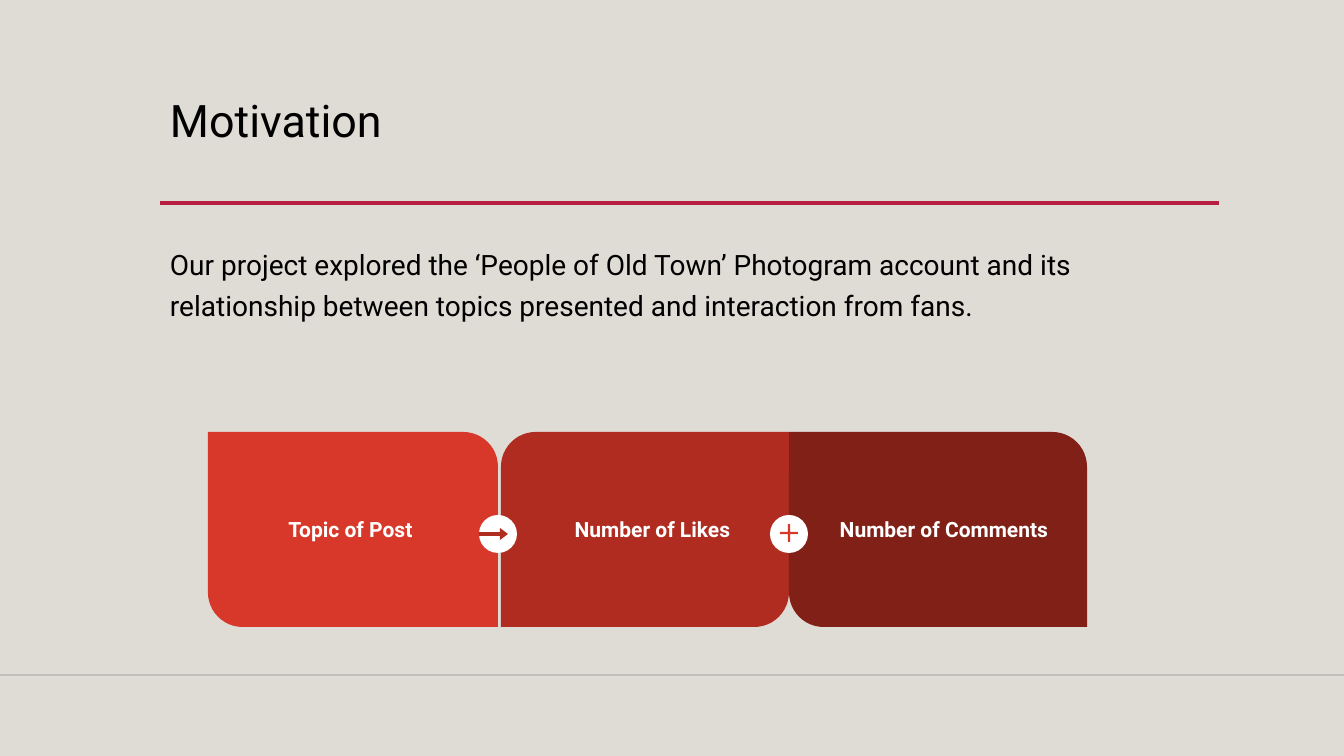
from lxml.etree import SubElement
from pptx import Presentation
from pptx.dml.color import RGBColor
from pptx.enum.shapes import MSO_CONNECTOR, MSO_SHAPE
from pptx.enum.text import MSO_ANCHOR, PP_ALIGN
from pptx.oxml.ns import qn
from pptx.util import Emu, Pt

SCALE = 914400 / 100.8
FONT = "Roboto"
COLORS = {
    "paper": "DFDBD5",
    "rule": "B71E42",
    "ink": "000000",
    "base": "000001",
    "white": "FFFFFF",
    "topic": "D83829",
    "likes": "B02C20",
    "fans": "802017",
}


def px(count):
    return Emu(round(count * SCALE))


def color(name):
    return RGBColor.from_string(COLORS[name])


def write(frame, text, size=15, tint="ink", bold=False, align=PP_ALIGN.LEFT, lead=1.0):
    para = frame.paragraphs[0]
    para.alignment = align
    para.line_spacing = lead
    run = para.add_run()
    run.text = text
    run.font.name = FONT
    run.font.size = Pt(size)
    run.font.bold = bold
    run.font.color.rgb = color(tint)


class Board:
    def __init__(self, slide):
        self.slide = slide
        back = slide.background.fill
        back.solid()
        back.fore_color.rgb = color("paper")

    def text(self, left, top, width, height, words, inset=10, **style):
        box = self.slide.shapes.add_textbox(px(left), px(top), px(width), px(height))
        frame = box.text_frame
        frame.word_wrap = True
        frame.vertical_anchor = MSO_ANCHOR.TOP
        frame.margin_left = frame.margin_right = px(inset)
        frame.margin_top = frame.margin_bottom = px(inset)
        write(frame, words, **style)

    def shape(self, kind, left, top, width, height, tint, adjust=()):
        item = self.slide.shapes.add_shape(kind, px(left), px(top), px(width), px(height))
        item.shadow.inherit = False
        item.fill.solid()
        item.fill.fore_color.rgb = color(tint)
        item.line.fill.background()
        for index, value in enumerate(adjust):
            item.adjustments[index] = value

    def line(self, left, right, top, tint, weight, alpha=None):
        rule = self.slide.shapes.add_connector(
            MSO_CONNECTOR.STRAIGHT, px(left), px(top), px(right), px(top))
        rule.line.width = Pt(weight)
        rule.line.color.rgb = color(tint)
        props = rule._element.spPr
        if alpha is not None:
            paint = props.find(".//" + qn("a:srgbClr"))
            SubElement(paint, qn("a:alpha")).set("val", str(alpha * 1000))
        SubElement(props, qn("a:effectLst"))

    def badge(self, left, kind, mark, tint, adjust):
        self.shape(MSO_SHAPE.OVAL, left, 515, 38, 38, "white")
        self.shape(kind, *mark, tint, adjust)


def main():
    deck = Presentation()
    deck.slide_width = px(1344)
    deck.slide_height = px(756)
    board = Board(deck.slides.add_slide(deck.slide_layouts[6]))

    board.line(0, 1344, 675, "base", 1, alpha=20)
    board.line(160, 1219, 203, "rule", 2.5)
    board.text(160, 89, 1058, 116, "Motivation", size=32, lead=0.9)
    board.text(
        160, 231, 1058, 184,
        "Our project explored the ‘People of Old Town’ Photogram account and its "
        "relationship between topics presented and interaction from fans.",
        size=20, lead=1.2)

    rising, falling = (0, 0.178), (0.178, 0)
    cards = [
        (208, 290, 242, 217, "Topic of Post", "topic", rising),
        (501, 288, 545, 215, "Number of Likes", "likes", falling),
        (789, 298, 824, 240, "Number of Comments", "fans", rising),
    ]
    for left, width, start, span, label, tint, corners in cards:
        board.shape(MSO_SHAPE.ROUND_2_DIAG_RECTANGLE, left, 432, width, 195, tint, corners)
        board.text(start, 504, span, 57, label, inset=13, tint="white",
                   bold=True, align=PP_ALIGN.CENTER)

    board.badge(479, MSO_SHAPE.RIGHT_ARROW, (479, 528, 29, 12), "likes", (0.32, 0.67))
    board.badge(770, MSO_SHAPE.MATH_PLUS, (777, 521, 24, 24), "topic", (0.1,))
    deck.save("out.pptx")


if __name__ == "__main__":
    main()
